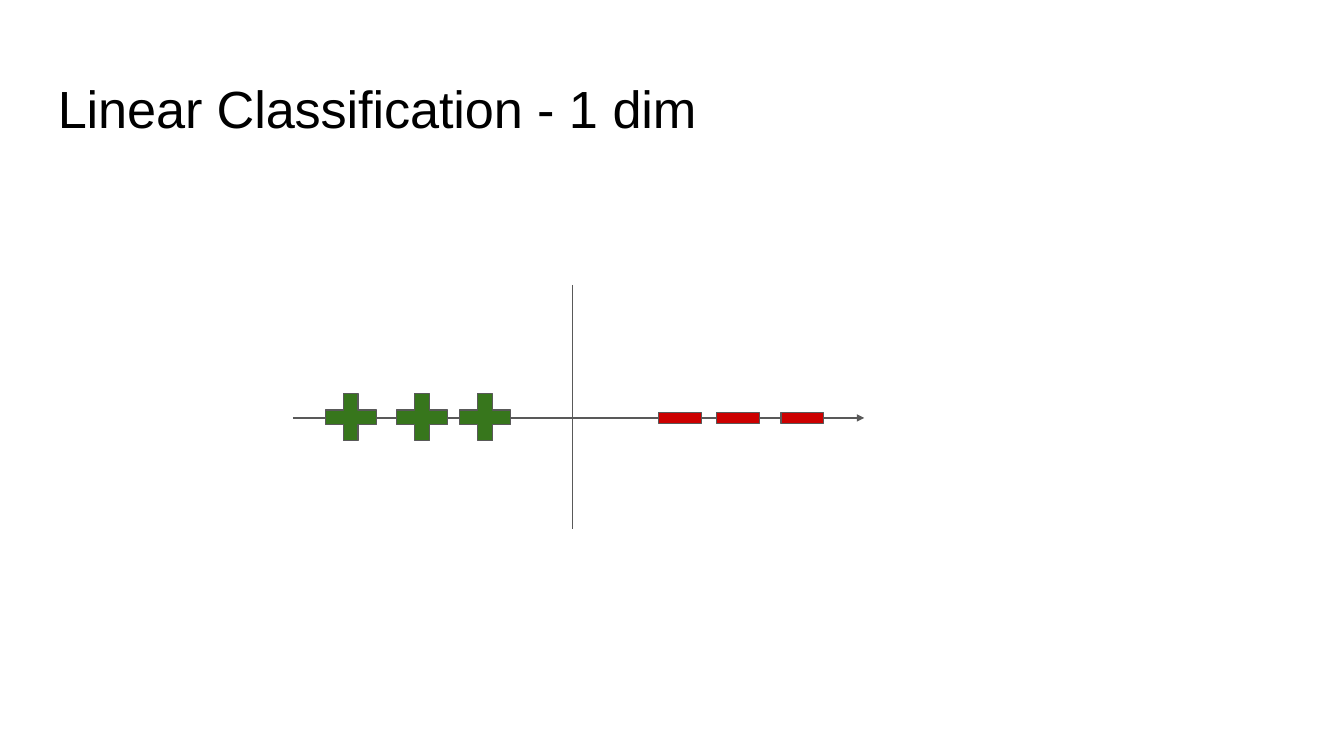
from pptx import Presentation
from pptx import util as u
from pptx.dml.color import RGBColor
from pptx.enum import shapes, text
from pptx.oxml.ns import qn
from lxml import etree

# Content: text runs with letter spacing in hundredths of a point
TITLE = [("Linear Classification ", -5), ("- 1 ", 0), ("dim", -5)]
PLUSES = [2.42, 2.95, 3.42]
MINUSES = [4.9, 5.33, 5.81]
GRAY, GREEN, RED, BLACK = "595959", "37761C", "CC0000", "000000"

# Geometry in inches
AXIS = 3.11
PLUS_W, PLUS_H, ARM = 0.38, 0.35, 0.11
MINUS_W, MINUS_H = 0.32, 0.08

prs = Presentation()
prs.slide_width = u.Inches(10)
prs.slide_height = prs.slide_width * 9 // 16
slide = prs.slides.add_slide(prs.slide_layouts[5])


def color(code):
    return RGBColor.from_string(code)


def paint(shape, fill):
    shape.shadow.inherit = False
    shape.fill.solid()
    shape.fill.fore_color.rgb = color(fill)
    shape.line.color.rgb = color(GRAY)
    shape.line.width = u.Pt(0.75)


def line(x1, y1, x2, y2, width, arrow=False):
    item = slide.shapes.add_connector(
        shapes.MSO_CONNECTOR.STRAIGHT, *map(u.Inches, (x1, y1, x2, y2)))
    item.line.color.rgb = color(GRAY)
    item.line.width = u.Pt(width)
    if arrow:
        etree.SubElement(item.line._get_or_add_ln(), qn("a:tailEnd"),
                         type="triangle", w="sm", len="sm")
    etree.SubElement(item._element.spPr, qn("a:effectLst"))


def plus(left, top):
    x1, x2 = (PLUS_W - ARM) / 2, (PLUS_W + ARM) / 2
    y1, y2 = (PLUS_H - ARM) / 2, (PLUS_H + ARM) / 2
    pts = [(0, y1), (x1, y1), (x1, 0), (x2, 0), (x2, y1), (PLUS_W, y1),
           (PLUS_W, y2), (x2, y2), (x2, PLUS_H), (x1, PLUS_H), (x1, y2), (0, y2)]
    pts = [(u.Inches(left + x), u.Inches(top + y)) for x, y in pts]
    pen = slide.shapes.build_freeform(*pts[0])
    pen.add_line_segments(pts[1:], close=True)
    paint(pen.convert_to_shape(), GREEN)


def minus(left, top):
    box = map(u.Inches, (left, top, MINUS_W, MINUS_H))
    paint(slide.shapes.add_shape(shapes.MSO_SHAPE.RECTANGLE, *box), RED)


# Title
title = slide.shapes.title
title.left, title.top, title.width, title.height = map(
    u.Inches, (0.42, 0.55, 4.8, 0.49))
frame = title.text_frame
frame.margin_left = u.Inches(0.01)
frame.margin_right = frame.margin_bottom = 0
frame.margin_top = u.Inches(0.02)
frame.vertical_anchor = text.MSO_ANCHOR.TOP
frame.word_wrap = True
frame.auto_size = text.MSO_AUTO_SIZE.SHAPE_TO_FIT_TEXT
para = frame.paragraphs[0]
para.alignment = text.PP_ALIGN.LEFT
for words, gap in TITLE:
    run = para.add_run()
    run.text = words
    run.font.name, run.font.size = "Arial", u.Pt(28)
    run.font.color.rgb = color(BLACK)
    run.font._element.set("spc", str(gap))

# Number line, then the two classes on it
line(2.18, AXIS, 6.43, AXIS, 1.12, arrow=True)
for left in PLUSES:
    plus(left, AXIS - 0.18)
for left in MINUSES:
    minus(left, AXIS - MINUS_H / 2)

# Decision boundary
line(4.26, 2.12, 4.26, 3.94, 0.75)

prs.save("out.pptx")
